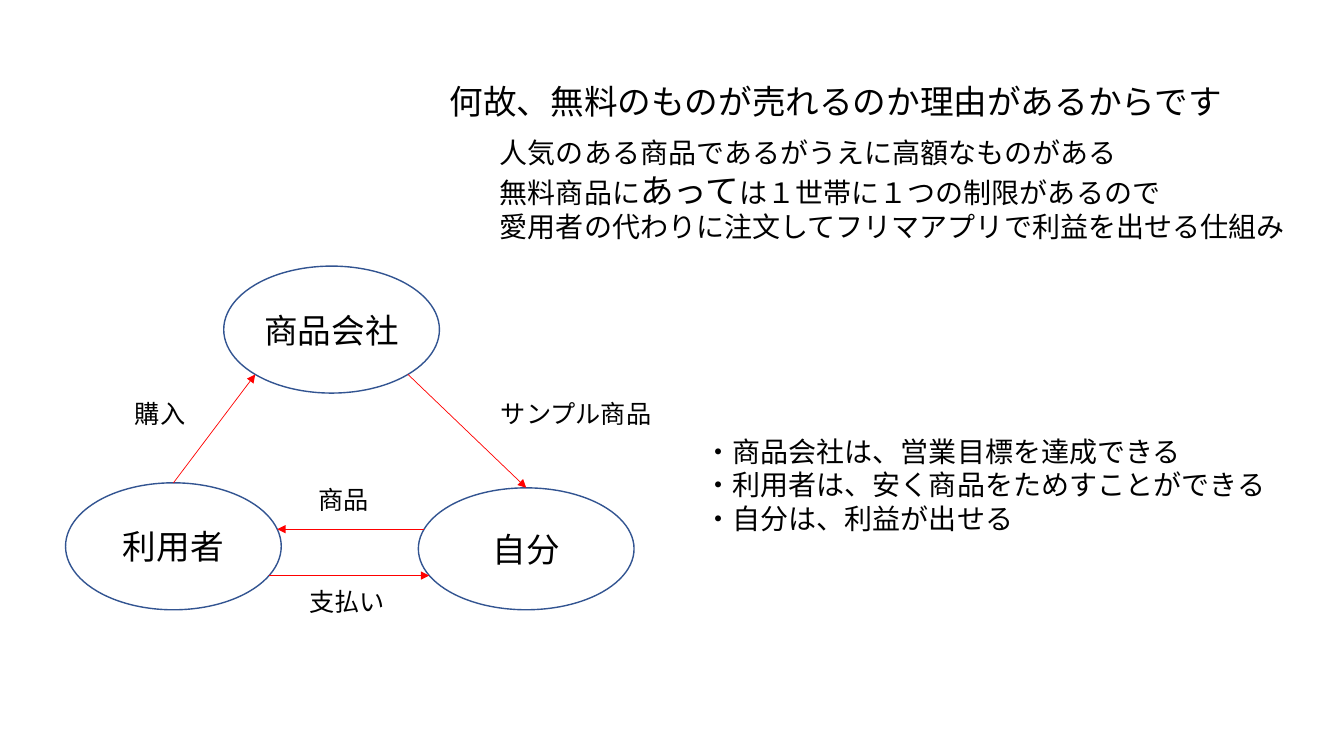
"""Build a slide showing how free samples move between a company, its users and oneself."""
from dataclasses import dataclass
from math import sqrt

from lxml.etree import SubElement
from pptx import Presentation
from pptx.dml.color import RGBColor
from pptx.enum.shapes import MSO_CONNECTOR, MSO_SHAPE
from pptx.enum.text import MSO_ANCHOR, MSO_AUTO_SIZE, PP_ALIGN
from pptx.oxml.ns import qn
from pptx.slide import Slide
from pptx.text.text import TextFrame
from pptx.util import Inches, Length, Pt

SLIDE_WIDTH, SLIDE_HEIGHT = Inches(13.33), Inches(7.5)


@dataclass(frozen=True)
class Theme:
    font: str = "Noto Sans CJK JP"
    text: RGBColor = RGBColor(0, 0, 0)
    outline: RGBColor = RGBColor(0x32, 0x54, 0x91)
    arrow: RGBColor = RGBColor(0xFF, 0, 0)
    heading: Length = Pt(24)
    body: Length = Pt(20)
    label: Length = Pt(18)


@dataclass(frozen=True)
class Area:
    left: float
    top: float
    width: float
    height: float

    def place(self) -> tuple[Length, Length, Length, Length]:
        return across(self.left), down(self.top), across(self.width), down(self.height)


@dataclass(frozen=True)
class Party:
    name: str
    area: Area

    def edge(self, row: float, side: int) -> tuple[Length, Length]:
        radius = self.area.height / 2
        offset = (row - self.area.top - radius) / radius
        reach = sqrt(max(0, 1 - offset ** 2))
        column = self.area.left + self.area.width / 2 * (1 + side * reach)
        return across(column), down(row)


@dataclass(frozen=True)
class Flow:
    source: Party
    source_row: float
    source_side: int
    target: Party
    target_row: float
    target_side: int


@dataclass(frozen=True)
class Span:
    text: str
    size: Length | None = None


@dataclass(frozen=True)
class TextBlock:
    area: Area
    size: Length
    lines: tuple[tuple[Span, ...], ...]


THEME = Theme()
LEFT, RIGHT = -1, 1
OVAL_WIDTH, OVAL_HEIGHT, LABEL_HEIGHT = 16.05, 16.8, 5.33
SHOULDER_ROW, GOODS_ROW, PAYMENT_ROW = 49.53, 70, 76.13

COMPANY = Party("商品会社", Area(16.65, 35.2, OVAL_WIDTH, OVAL_HEIGHT))
CUSTOMER = Party("利用者", Area(4.88, 63.87, OVAL_WIDTH, OVAL_HEIGHT))
MYSELF = Party("自分", Area(31.13, 64.53, OVAL_WIDTH, 16.13))

FLOWS = (
    Flow(CUSTOMER, CUSTOMER.area.top, RIGHT, COMPANY, SHOULDER_ROW, LEFT),
    Flow(COMPANY, SHOULDER_ROW, RIGHT, MYSELF, MYSELF.area.top, LEFT),
    Flow(CUSTOMER, PAYMENT_ROW, RIGHT, MYSELF, PAYMENT_ROW, LEFT),
    Flow(MYSELF, GOODS_ROW, LEFT, CUSTOMER, GOODS_ROW, RIGHT),
)

TITLE = TextBlock(
    Area(32.7, 10, 66, 6.67), THEME.heading,
    ((Span("何故、無料のものが売れるのか理由があるからです"),),),
)

TEXT_BLOCKS = (
    TextBlock(Area(9.3, 52, 5.4, LABEL_HEIGHT), THEME.label, ((Span("購入"),),)),
    TextBlock(Area(36.53, 52, 13.43, LABEL_HEIGHT), THEME.label, ((Span("サンプル商品"),),)),
    TextBlock(Area(22.28, 76.93, 7.73, LABEL_HEIGHT), THEME.label, ((Span("支払い"),),)),
    TextBlock(Area(22.96, 63.47, 5.4, LABEL_HEIGHT), THEME.label, ((Span("商品"),),)),
    TextBlock(Area(36.46, 17.33, 60.54, 20.13), THEME.body, (
        (Span("人気のある商品であるがうえに高額なものがある"),),
        (Span("無料商品に"), Span("あって", THEME.heading), Span("は１世帯に１つの制限があるので")),
        (Span("愛用者の代わりに注文してフリマアプリで利益を出せる仕組み"),),
    )),
    TextBlock(Area(51.69, 56.8, 43.44, 14.8), THEME.body, (
        (Span("・商品会社は、営業目標を達成できる"),),
        (Span("・利用者は、安く商品をためすことができる"),),
        (Span("・自分は、利益が出せる"),),
    )),
)


def across(percent: float) -> Length:
    return Length(round(SLIDE_WIDTH * percent / 100))


def down(percent: float) -> Length:
    return Length(round(SLIDE_HEIGHT * percent / 100))


def write(frame: TextFrame, lines: tuple[tuple[Span, ...], ...], size: Length,
          alignment: PP_ALIGN, anchor: MSO_ANCHOR, wrap: bool) -> None:
    frame.auto_size = MSO_AUTO_SIZE.NONE
    frame.word_wrap = wrap
    frame.vertical_anchor = anchor
    for index, line in enumerate(lines):
        para = frame.add_paragraph() if index else frame.paragraphs[0]
        para.alignment = alignment
        para.line_spacing = 1.0
        font = para.font
        font.size, font.name = size, THEME.font
        font.color.rgb = THEME.text
        properties = para._p.pPr.find(qn("a:defRPr"))
        SubElement(properties, qn("a:ea"), typeface=THEME.font)
        for span in line:
            run = para.add_run()
            run.text = span.text
            if span.size:
                run.font.size = span.size


def draw_title(page: Slide, block: TextBlock) -> None:
    title = page.shapes.title
    title.left, title.top, title.width, title.height = block.area.place()
    write(title.text_frame, block.lines, block.size, PP_ALIGN.LEFT, MSO_ANCHOR.TOP, True)


def draw_party(page: Slide, party: Party) -> None:
    oval = page.shapes.add_shape(MSO_SHAPE.OVAL, *party.area.place())
    oval.shadow.inherit = False
    oval.fill.background()
    oval.line.color.rgb = THEME.outline
    oval.line.width = Pt(1)
    write(oval.text_frame, ((Span(party.name),),), THEME.heading,
          PP_ALIGN.CENTER, MSO_ANCHOR.MIDDLE, False)


def draw_flow(page: Slide, flow: Flow) -> None:
    start = flow.source.edge(flow.source_row, flow.source_side)
    end = flow.target.edge(flow.target_row, flow.target_side)
    arrow = page.shapes.add_connector(MSO_CONNECTOR.STRAIGHT, *start, *end)
    arrow.line.color.rgb = THEME.arrow
    arrow.line.width = Pt(0.5)
    SubElement(arrow.line._get_or_add_ln(), qn("a:tailEnd"), type="triangle")
    SubElement(arrow._element.spPr, qn("a:effectLst"))


def draw_text(page: Slide, block: TextBlock) -> None:
    box = page.shapes.add_textbox(*block.area.place())
    write(box.text_frame, block.lines, block.size, PP_ALIGN.LEFT, MSO_ANCHOR.TOP, True)


def main() -> None:
    deck = Presentation()
    deck.slide_width, deck.slide_height = SLIDE_WIDTH, SLIDE_HEIGHT
    page = deck.slides.add_slide(deck.slide_layouts[5])
    draw_title(page, TITLE)
    for party in (MYSELF, COMPANY, CUSTOMER):
        draw_party(page, party)
    for flow in FLOWS:
        draw_flow(page, flow)
    for block in TEXT_BLOCKS:
        draw_text(page, block)
    deck.save("out.pptx")


if __name__ == "__main__":
    main()
